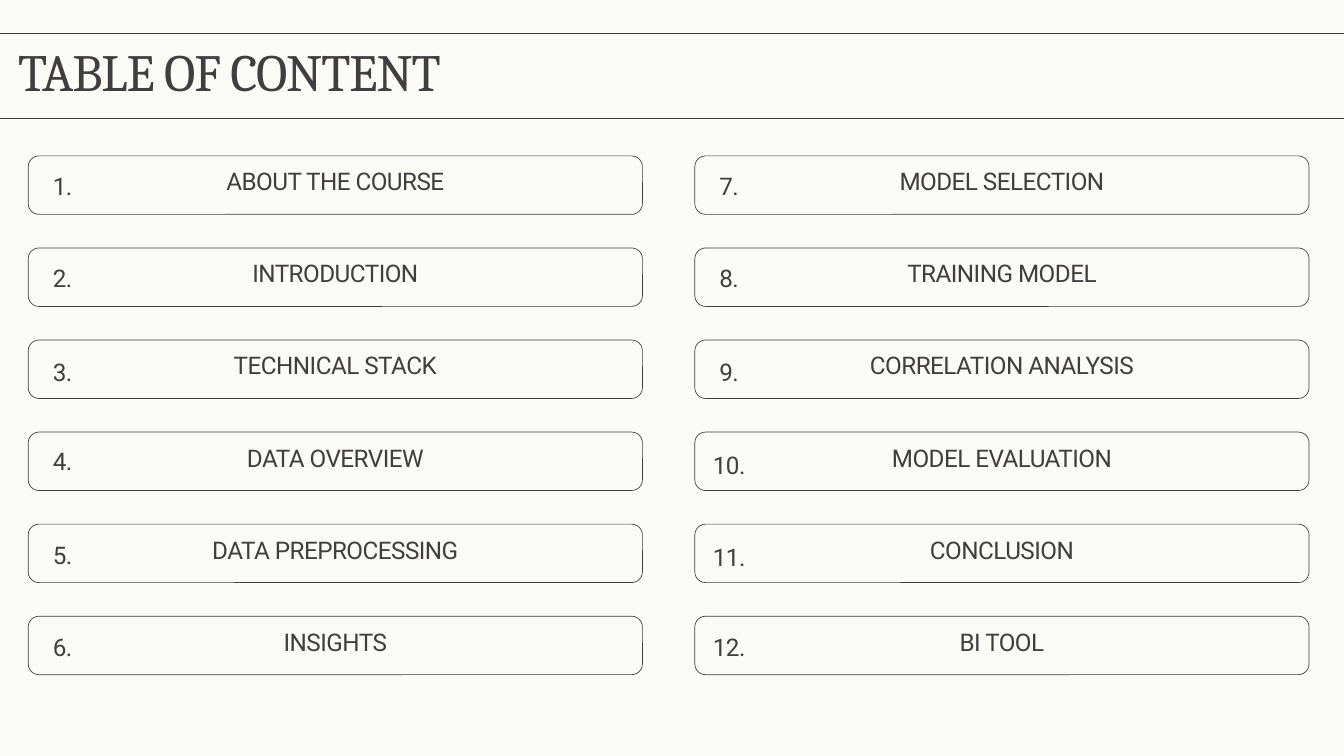
from lxml.etree import SubElement
from pptx import Presentation
from pptx.dml.color import RGBColor
from pptx.enum.shapes import MSO_CONNECTOR, MSO_SHAPE
from pptx.enum.text import MSO_ANCHOR, PP_ALIGN
from pptx.oxml.ns import qn
from pptx.util import Pt

TITLE = "TABLE OF CONTENT"
COLUMNS = [
    [("1.", "ABOUT THE COURSE", 0), ("2.", "INTRODUCTION", 0), ("3.", "TECHNICAL STACK", 2),
     ("4.", "DATA OVERVIEW", -2), ("5.", "DATA PREPROCESSING", 0), ("6.", "INSIGHTS", 1)],
    [("7.", "MODEL SELECTION", 0), ("8.", "TRAINING MODEL", 0), ("9.", "CORRELATION ANALYSIS", 2),
     ("10.", "MODEL EVALUATION", 4), ("11.", "CONCLUSION", 4), ("12.", "BI TOOL", 1)],
]
RULES = [(-29, 49), (-49, 176)]
COLORS = {"paper": "FAFAF6", "ink": "403E3E"}

PX = 9144
SLIDE_W, SLIDE_H = 2000, 1125
LEFT, COLUMN_PITCH = 42, 992
TOP, ROW_PITCH = 232, 137
ENTRY_W, ENTRY_H, CORNER = 914, 87, 16
LABEL_RISE = 19
NUMBER_DROP, NUMBER_W, NUMBER_H = 16, 102, 49


def color(name):
    return RGBColor.from_string(COLORS[name])


def add_rule(slide, left, y):
    rule = slide.shapes.add_connector(
        MSO_CONNECTOR.STRAIGHT, left * PX, y * PX, SLIDE_W * PX, y * PX)
    rule.line.color.rgb = color("ink")
    rule.line.width = Pt(0.75)
    SubElement(rule._element.spPr, qn("a:effectLst"))


def add_frame(slide, left, top):
    frame = slide.shapes.add_shape(
        MSO_SHAPE.ROUNDED_RECTANGLE, left * PX, top * PX, ENTRY_W * PX, ENTRY_H * PX)
    frame.adjustments[0] = CORNER / ENTRY_H
    frame.shadow.inherit = False
    frame.fill.background()
    frame.line.color.rgb = color("ink")
    frame.line.width = Pt(0.75)


def add_text(slide, text, box, font="Roboto", size=26, leading=36.4, spacing=-60,
             align=PP_ALIGN.CENTER, anchor=MSO_ANCHOR.TOP, inset=0):
    text_frame = slide.shapes.add_textbox(*(length * PX for length in box)).text_frame
    text_frame.text = text
    text_frame.word_wrap = True
    text_frame.vertical_anchor = anchor
    text_frame.margin_left = text_frame.margin_right = inset * PX
    text_frame.margin_top = text_frame.margin_bottom = inset * PX
    paragraph = text_frame.paragraphs[0]
    paragraph.alignment = align
    paragraph.line_spacing = Pt(leading)
    run = paragraph.runs[0]
    run.font.name = font
    run.font.size = Pt(size)
    run.font.color.rgb = color("ink")
    run.font._element.set("spc", str(spacing))


def main():
    deck = Presentation()
    deck.slide_width, deck.slide_height = SLIDE_W * PX, SLIDE_H * PX
    slide = deck.slides.add_slide(deck.slide_layouts[6])
    slide.background.fill.solid()
    slide.background.fill.fore_color.rgb = color("paper")

    for left, y in RULES:
        add_rule(slide, left, y)
    add_text(slide, TITLE, (27, 92, 888, 67), font="Cambria", size=56,
             leading=42.6, spacing=-120, align=PP_ALIGN.LEFT)

    for column, entries in enumerate(COLUMNS):
        left = LEFT + column * COLUMN_PITCH
        for row, (number, label, nudge) in enumerate(entries):
            top = TOP + row * ROW_PITCH
            add_frame(slide, left, top)
            add_text(slide, label, (left, top - LABEL_RISE, ENTRY_W, ENTRY_H + LABEL_RISE),
                     anchor=MSO_ANCHOR.MIDDLE, inset=6)
            add_text(slide, number, (left, top + NUMBER_DROP + nudge, NUMBER_W, NUMBER_H))

    deck.save("out.pptx")


if __name__ == "__main__":
    main()
